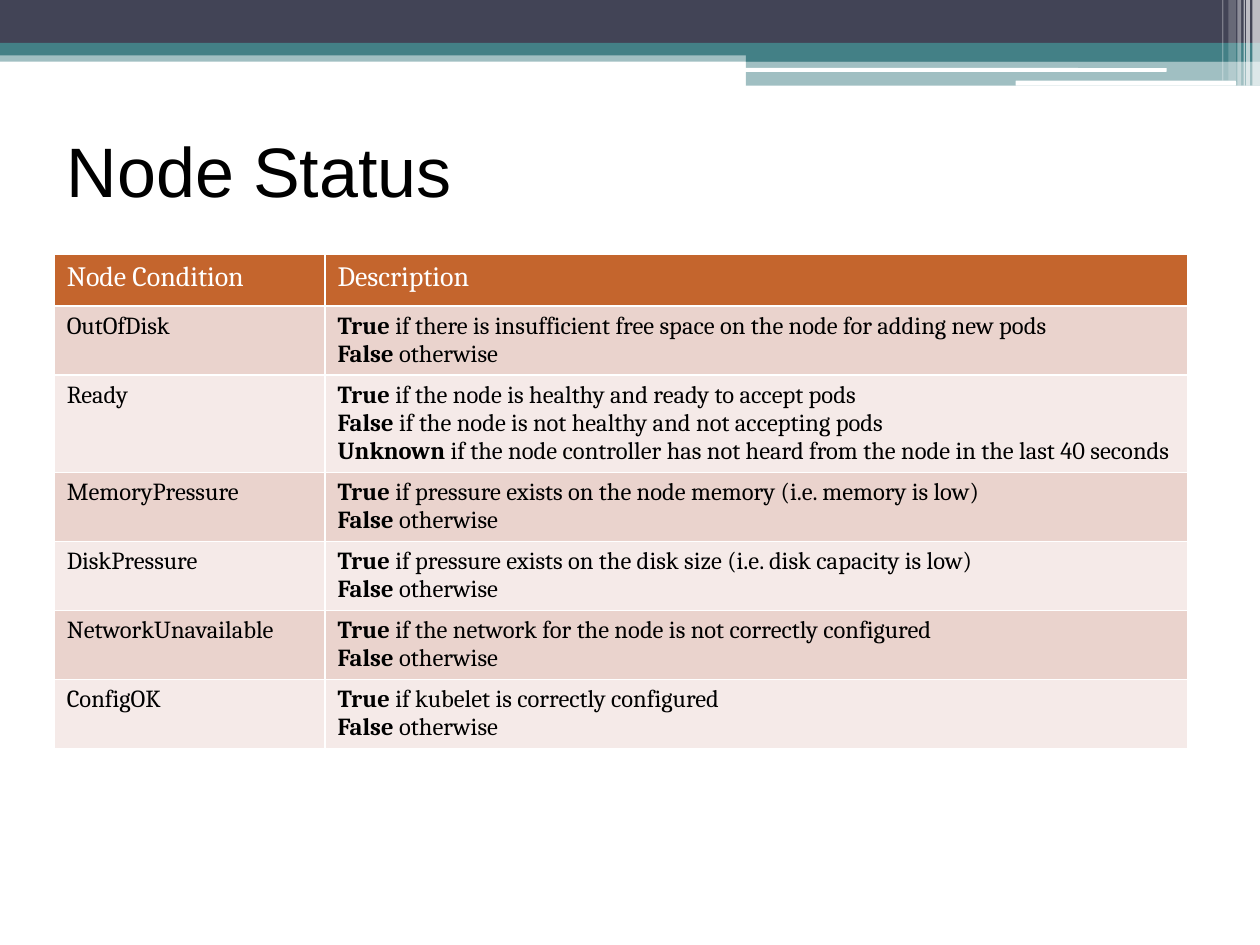
import lxml.etree
import pptx
import pptx.dml.color
import pptx.enum.shapes
import pptx.enum.text
import pptx.oxml.ns
import pptx.util
from pptx.util import Inches

DARK, TEAL, WHITE, BLACK = "424456", "438086", "FFFFFF", "000000"
HEADER_FILL, BAND_FILLS = "C4652D", ("EAD3CD", "F5EAE8")
BODY_FONT = "Cambria"

# left, top, width, height, colour, opacity in percent
BARS = [
    (0, 0.4, 10, 0.09, TEAL, 50),
    (0, 0, 10, 0.34, DARK, 100),
    (0, 0.34, 10, 0.1, TEAL, 100),
    (5.92, 0.39, 4.08, 0.1, TEAL, 100),
    (5.92, 0.48, 4.08, 0.2, TEAL, 50),
]
ROUNDED_BARS = [
    (5.91, 0.54, 3.35, 0.03, WHITE, 100),
    (8.06, 0.64, 1.75, 0.04, WHITE, 100),
]
# left, width, height, opacity in percent
STRIPES = [
    (9.94, 0.06, 0.68, 65),
    (9.89, 0.03, 0.68, 65),
    (9.87, 0.01, 0.68, 60),
    (9.82, 0.03, 0.68, 40),
    (9.75, 0.06, 0.64, 20),
    (9.7, 0.01, 0.64, 30),
]

TITLE = "Node Status"
HEADINGS = ("Node Condition", "Description")
OTHERWISE = ("False", " otherwise")
CONDITIONS = [
    ("OutOfDisk", [
        ("True", " if there is insufficient free space on the node for adding new pods"),
        OTHERWISE]),
    ("Ready", [
        ("True", " if the node is healthy and ready to accept pods"),
        ("False", " if the node is not healthy and not accepting pods"),
        ("Unknown", " if the node controller has not heard from the node in the last 40 seconds")]),
    ("MemoryPressure", [
        ("True", " if pressure exists on the node memory (i.e. memory is low)"),
        OTHERWISE]),
    ("DiskPressure", [
        ("True", " if pressure exists on the disk size (i.e. disk capacity is low)"),
        OTHERWISE]),
    ("NetworkUnavailable", [
        ("True", " if the network for the node is not correctly configured"),
        OTHERWISE]),
    ("ConfigOK", [
        ("True", " if kubelet is correctly configured"),
        OTHERWISE]),
]
COLUMN_WIDTHS = (2.15, 6.85)
HEADER_HEIGHT = 0.41
ROW_PADDING, LINE_HEIGHT = 0.1, 0.22


def rgb(color):
    """Turn a hex string into a colour."""
    return pptx.dml.color.RGBColor.from_string(color)


def add_bar(slide, kind, left, top, width, height, color, opacity):
    """Add one borderless bar of the header band."""
    bar = slide.shapes.add_shape(
        kind, Inches(left), Inches(top), Inches(width), Inches(height))
    bar.shadow.inherit = False
    bar.line.fill.background()
    bar.fill.solid()
    bar.fill.fore_color.rgb = rgb(color)
    if opacity < 100:
        color_element = bar.fill._xPr.find(".//" + pptx.oxml.ns.qn("a:srgbClr"))
        lxml.etree.SubElement(
            color_element, pptx.oxml.ns.qn("a:alpha"), val=str(opacity * 1000))


def format_cell(cell, fill, size, color):
    """Set the borders, fill and font of a filled-in cell."""
    properties = cell._tc.get_or_add_tcPr()
    for side in "LRTB":
        line = lxml.etree.SubElement(
            properties, pptx.oxml.ns.qn("a:ln" + side), w=str(pptx.util.Pt(1)))
        solid = lxml.etree.SubElement(line, pptx.oxml.ns.qn("a:solidFill"))
        lxml.etree.SubElement(solid, pptx.oxml.ns.qn("a:srgbClr"), val=WHITE)
    cell.fill.solid()
    cell.fill.fore_color.rgb = rgb(fill)
    for paragraph in cell.text_frame.paragraphs:
        paragraph.font.name = BODY_FONT
        paragraph.font.size = pptx.util.Pt(size)
        paragraph.font.color.rgb = rgb(color)
        for run in paragraph.runs:
            run.font.bold = bool(run.font.bold)


def write_description(cell, lines):
    """Write one paragraph per status value, with the value in bold."""
    frame = cell.text_frame
    for index, (value, meaning) in enumerate(lines):
        paragraph = frame.add_paragraph() if index else frame.paragraphs[0]
        for text, bold in ((value, True), (meaning, False)):
            run = paragraph.add_run()
            run.text = text
            run.font.bold = bold


def add_condition_table(slide):
    """Add the table of node conditions."""
    heights = [HEADER_HEIGHT] + [
        ROW_PADDING + LINE_HEIGHT * len(lines) for _, lines in CONDITIONS]
    table = slide.shapes.add_table(
        len(heights), len(COLUMN_WIDTHS), Inches(0.43), Inches(2.02),
        Inches(sum(COLUMN_WIDTHS)), Inches(sum(heights))).table
    for column, width in zip(table.columns, COLUMN_WIDTHS):
        column.width = Inches(width)
    for row, height in zip(table.rows, heights):
        row.height = Inches(height)
    for column, heading in enumerate(HEADINGS):
        cell = table.cell(0, column)
        cell.text = heading
        format_cell(cell, HEADER_FILL, 16, WHITE)
    for index, (name, lines) in enumerate(CONDITIONS):
        name_cell, description_cell = table.rows[index + 1].cells
        name_cell.text = name
        write_description(description_cell, lines)
        for cell in (name_cell, description_cell):
            format_cell(cell, BAND_FILLS[index % 2], 14, BLACK)


def format_title(title):
    """Place, fill in and format the title placeholder."""
    title.left, title.top = Inches(0.43), Inches(0.76)
    title.width, title.height = Inches(9), Inches(1.17)
    title.text_frame.text = TITLE
    title.text_frame.vertical_anchor = pptx.enum.text.MSO_ANCHOR.MIDDLE
    paragraph = title.text_frame.paragraphs[0]
    paragraph.alignment = pptx.enum.text.PP_ALIGN.LEFT
    paragraph.font.name = "Arial"
    paragraph.font.size = pptx.util.Pt(40)
    paragraph.font.color.rgb = rgb(BLACK)


presentation = pptx.Presentation()
presentation.slide_width, presentation.slide_height = Inches(10), Inches(7.5)
slide = presentation.slides.add_slide(presentation.slide_layouts[5])
shape_kinds = pptx.enum.shapes.MSO_SHAPE
for bar in BARS:
    add_bar(slide, shape_kinds.RECTANGLE, *bar)
for bar in ROUNDED_BARS:
    add_bar(slide, shape_kinds.ROUNDED_RECTANGLE, *bar)
for left, width, height, opacity in STRIPES:
    add_bar(slide, shape_kinds.RECTANGLE, left, 0, width, height, WHITE, opacity)
format_title(slide.shapes.title)
add_condition_table(slide)
presentation.save("out.pptx")
